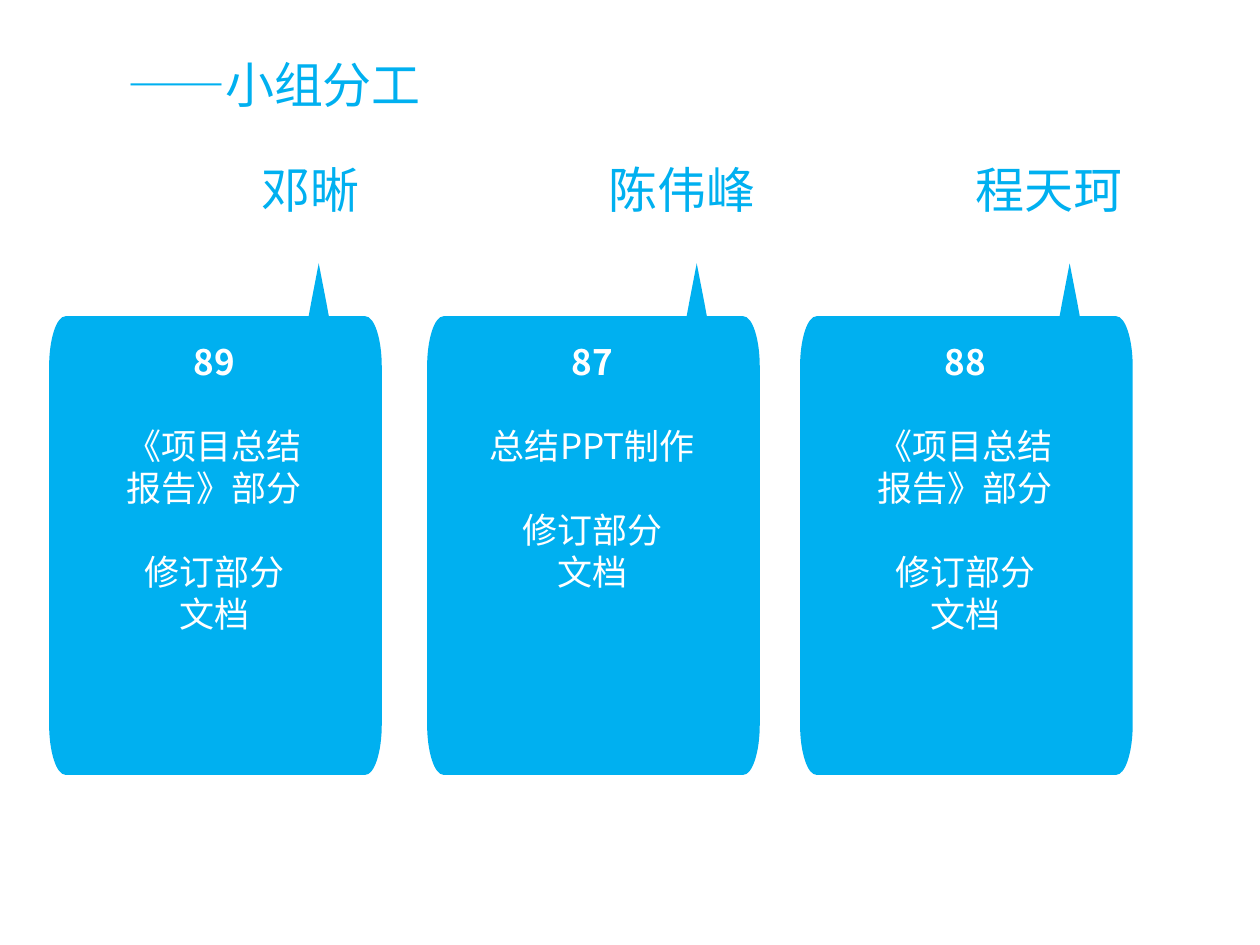
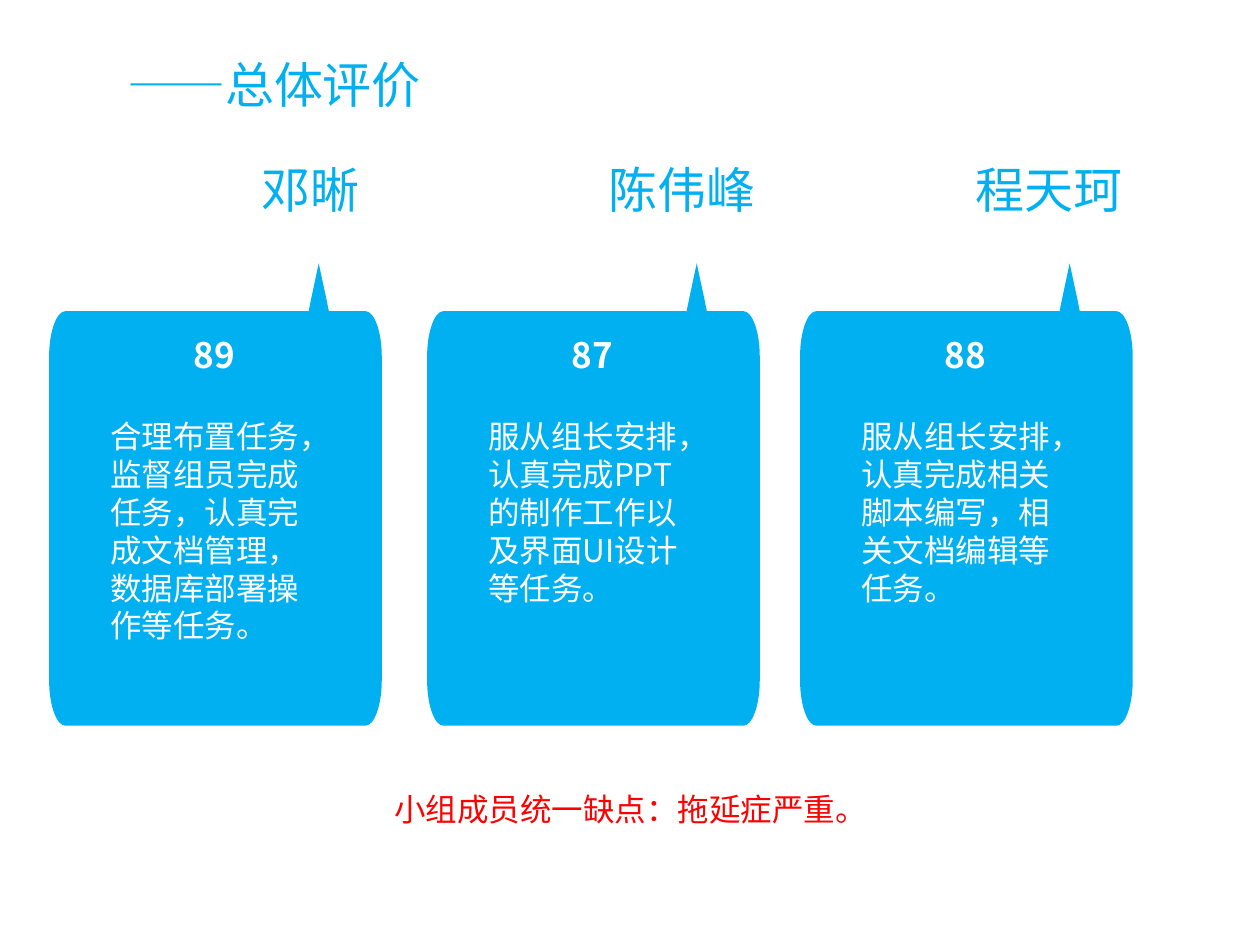
from dataclasses import dataclass

from lxml import etree
from pptx import Presentation
from pptx.dml.color import RGBColor
from pptx.enum import text
from pptx.oxml.ns import qn
from pptx.util import Inches, Pt

LEFT, CENTER = text.PP_ALIGN.LEFT, text.PP_ALIGN.CENTER


@dataclass(frozen=True)
class Theme:
    font: str = "Noto Sans CJK SC"
    blue: RGBColor = RGBColor(0x00, 0xB0, 0xF0)
    white: RGBColor = RGBColor(0xFF, 0xFF, 0xFF)
    red: RGBColor = RGBColor(0xFF, 0x00, 0x00)
    heading: int = 28
    score: int = 20
    task: int = 20
    review: int = 18
    gap: int = 24


THEME = Theme()

# Team members: name, score, left of the name box, left of the card
MEMBERS = [
    ("邓晰", "89", 1.54, 0.39),
    ("陈伟峰", "87", 4.49, 3.39),
    ("程天珂", "88", 7.4, 6.35),
]
REPORT_TASKS = ["《项目总结报告》部分", "修订部分", "文档"]
TASKS = [REPORT_TASKS, ["总结PPT制作", "修订部分", "文档"], REPORT_TASKS]
REVIEWS = [
    ["合理布置任务，监督组员完成任务，认真完成文档管理，数据库部署操作等任务。"],
    ["服从组长安排，认真完成PPT的制作工作以及界面UI设计等任务。"],
    ["服从组长安排，认真完成相关脚本编写，相关文档编辑等任务。"],
]
CARD_W = 2.64


def write(tf, words, size, color, align=LEFT, bold=False, before=0):
    """Write one paragraph, filling the empty first one if there is one."""
    p = tf.paragraphs[0] if not tf.text else tf.add_paragraph()
    p.alignment = align
    p.space_before = Pt(before)
    r = p.add_run()
    r.text = words
    r.font.size, r.font.bold, r.font.name = Pt(size), bold, THEME.font
    r.font.color.rgb = color
    ea = r.font._element.makeelement(qn("a:ea"), {"typeface": THEME.font})
    r.font._element.find(qn("a:latin")).addnext(ea)


def add_text_box(shapes, x, y, w, h, wrap=True):
    tf = shapes.add_textbox(*map(Inches, (x, y, w, h))).text_frame
    tf.word_wrap = wrap
    return tf


def card_outline(w, h):
    """Outline of a card with a tail, and where its corner triples start."""
    rx, ry, top, bend = 0.13, h * 0.0985, h * 0.1035, 0.45
    tail = [(2.06, top), (2.08, top * 0.74), (2.14, 0), (2.2, top * 0.74), (2.22, top)]
    points, corner_starts = [(rx, top)] + tail, []
    # Each corner: its position, and the directions towards its start and end
    corners = [(w, top, (-1, 0), (0, 1)), (w, h, (0, -1), (-1, 0)),
               (0, h, (1, 0), (0, -1)), (0, top, (0, 1), (1, 0))]
    for cx, cy, (sx, sy), (ex, ey) in corners:
        points.append((cx + sx * rx, cy + sy * ry))
        corner_starts.append(len(points))
        points += [(cx + sx * rx * bend, cy + sy * ry * bend),
                   (cx + ex * rx * bend, cy + ey * ry * bend),
                   (cx + ex * rx, cy + ey * ry)]
    return points, corner_starts


def round_corners(sp, corner_starts):
    """Turn each triple of line segments at a corner into one curve."""
    segments = list(sp._element.iter(qn("a:lnTo")))
    for start in corner_starts:
        triple = segments[start - 1:start + 2]
        curve = etree.Element(qn("a:cubicBezTo"))
        triple[0].addprevious(curve)
        for segment in triple:
            curve.append(segment[0])
            segment.getparent().remove(segment)


def add_card(slide, x, y, h, score, lines, size, align, gaps):
    group = slide.shapes.add_group_shape()

    # Card with tail
    outline, corner_starts = card_outline(CARD_W, h)
    points = [(Inches(x + px), Inches(y + py)) for px, py in outline]
    builder = group.shapes.build_freeform(*points[0])
    builder.add_line_segments(points[1:], close=True)
    sp = builder.convert_to_shape()
    round_corners(sp, corner_starts)
    sp.shadow.inherit = False
    sp.fill.solid()
    sp.fill.fore_color.rgb = THEME.blue
    sp.line.fill.background()

    # Score and description
    tf = add_text_box(group.shapes, x + 0.385, y + h * 0.138, 1.85, h * 0.72)
    write(tf, score, THEME.score, THEME.white, CENTER, bold=True)
    for line, gap in zip(lines, gaps):
        write(tf, line, size, THEME.white, align, before=gap)


def add_team_slide(prs, title, card_h, texts, size, align, gaps):
    slide = prs.slides.add_slide(prs.slide_layouts[5])

    # Title
    sp = slide.shapes.title
    sp.left, sp.top, sp.width, sp.height = map(Inches, (0.91, 0.38, 3.7, 0.57))
    tf = sp.text_frame
    tf.vertical_anchor = text.MSO_ANCHOR.TOP
    tf.auto_size = text.MSO_AUTO_SIZE.NONE
    write(tf, title, THEME.heading, THEME.blue)

    # Members
    for (name, score, name_x, card_x), lines in zip(MEMBERS, texts):
        add_card(slide, card_x, 2.09, card_h, score, lines, size, align, gaps)
        tf = add_text_box(slide.shapes, name_x, 1.22, 1.85, 0.57)
        write(tf, name, THEME.heading, THEME.blue, CENTER)
    return slide


def main():
    prs = Presentation()
    prs.slide_width, prs.slide_height = Inches(10), Inches(7.5)

    add_team_slide(prs, "——小组分工", 4.06, TASKS, THEME.task, CENTER,
                   (THEME.gap, THEME.gap, 0))
    slide = add_team_slide(prs, "——总体评价", 3.67, REVIEWS, THEME.review, LEFT,
                           (THEME.gap,))

    # Shared weakness
    tf = add_text_box(slide.shapes, 3.03, 6.22, 3.95, 0.4, wrap=False)
    write(tf, "小组成员统一缺点：拖延症严重。", THEME.review, THEME.red)

    prs.save("out.pptx")


if __name__ == "__main__":
    main()
